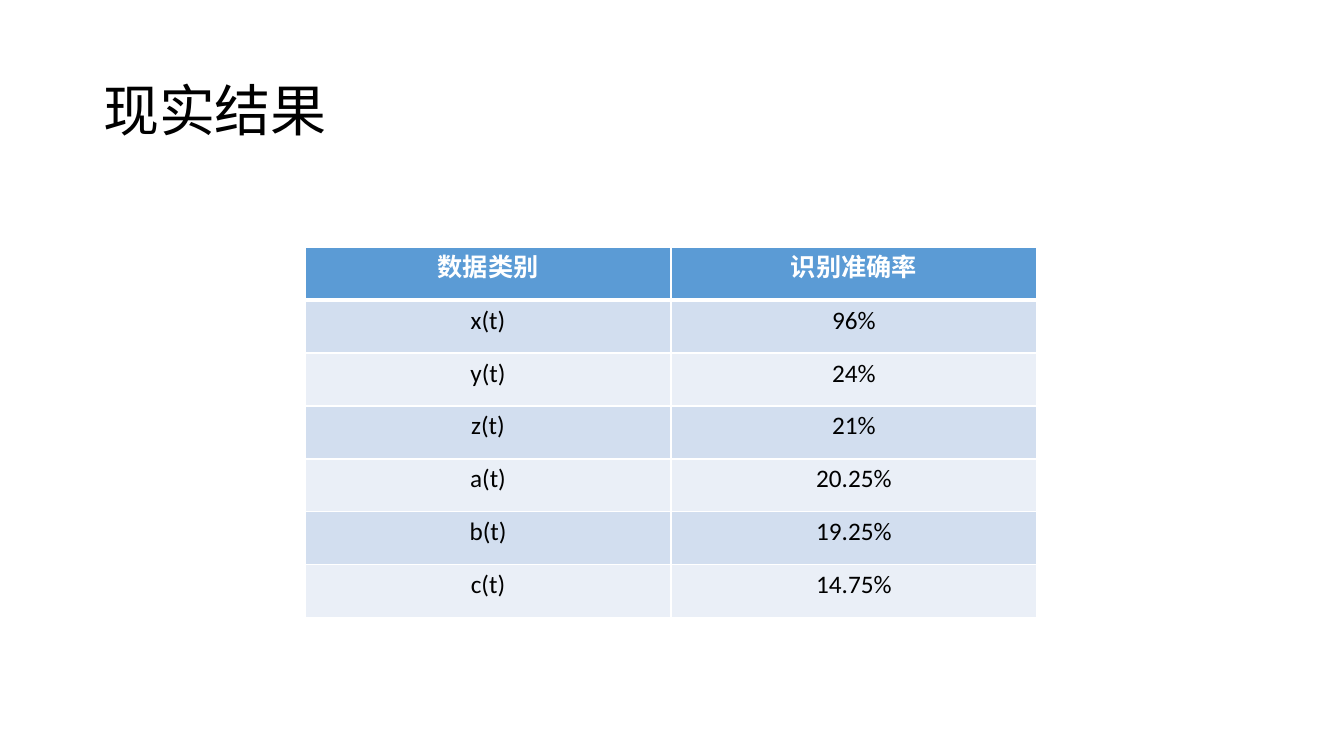
"""Build the slide of recognition accuracy by data class."""
from lxml import etree
from pptx import Presentation
from pptx.dml.color import RGBColor
from pptx.enum import text
from pptx.oxml import ns

TITLE = "现实结果"
ROWS = [
    ("数据类别", "识别准确率"),
    ("x(t)", "96%"),
    ("y(t)", "24%"),
    ("z(t)", "21%"),
    ("a(t)", "20.25%"),
    ("b(t)", "19.25%"),
    ("c(t)", "14.75%"),
]
COLORS = {"head": "5B9BD5", "odd": "D2DEEF", "even": "EAEFF7",
          "white": "FFFFFF", "black": "000000"}
FONT = "Calibri"
SIZE = (1344, 756)
TITLE_BOX = (93, 40, 1159, 146)
GRID_AT = (305, 247)
COL_W, ROW_H = 366, 53
PT = 12700


def px(num):
    return round(num * 914400 / 100.8)


def write(frame, words, size=18, color="black", bold=False,
          align=text.PP_ALIGN.CENTER, space=1.0):
    para = frame.paragraphs[0]
    para.alignment = align
    para.line_spacing = space
    run = para.add_run()
    run.text = words
    font = run.font
    font.size = size * PT
    font.name = FONT
    font.bold = bold
    font.color.rgb = RGBColor.from_string(COLORS[color])
    east = etree.SubElement(run._r.get_or_add_rPr(), ns.qn("a:ea"))
    east.set("typeface", FONT)


def border(cell, widths):
    props = cell._tc.get_or_add_tcPr()
    for side, width in zip("LRTB", widths):
        line = etree.SubElement(props, ns.qn(f"a:ln{side}"), w=str(width * PT))
        fill = etree.SubElement(line, ns.qn("a:solidFill"))
        etree.SubElement(fill, ns.qn("a:srgbClr"), val=COLORS["white"])


def main():
    deck = Presentation()
    deck.slide_width, deck.slide_height = map(px, SIZE)
    slide = deck.slides.add_slide(deck.slide_layouts[5])

    title = slide.shapes.title
    title.left, title.top, title.width, title.height = map(px, TITLE_BOX)
    title.text_frame.vertical_anchor = text.MSO_ANCHOR.MIDDLE
    write(title.text_frame, TITLE, size=40, align=text.PP_ALIGN.LEFT, space=0.9)

    count, cols = len(ROWS), len(ROWS[0])
    box = (*GRID_AT, COL_W * cols, ROW_H * count)
    grid = slide.shapes.add_table(count, cols, *map(px, box)).table
    for col in grid.columns:
        col.width = px(COL_W)
    for r, row in enumerate(ROWS):
        grid.rows[r].height = px(ROW_H)
        head = r == 0
        shade = "head" if head else "odd" if r % 2 else "even"
        for c, words in enumerate(row):
            cell = grid.cell(r, c)
            border(cell, (1, 1, 3 if r == 1 else 1, 3 if head else 1))
            cell.fill.solid()
            cell.fill.fore_color.rgb = RGBColor.from_string(COLORS[shade])
            write(cell.text_frame, words, bold=head,
                  color="white" if head else "black")

    deck.save("out.pptx")


if __name__ == "__main__":
    main()
